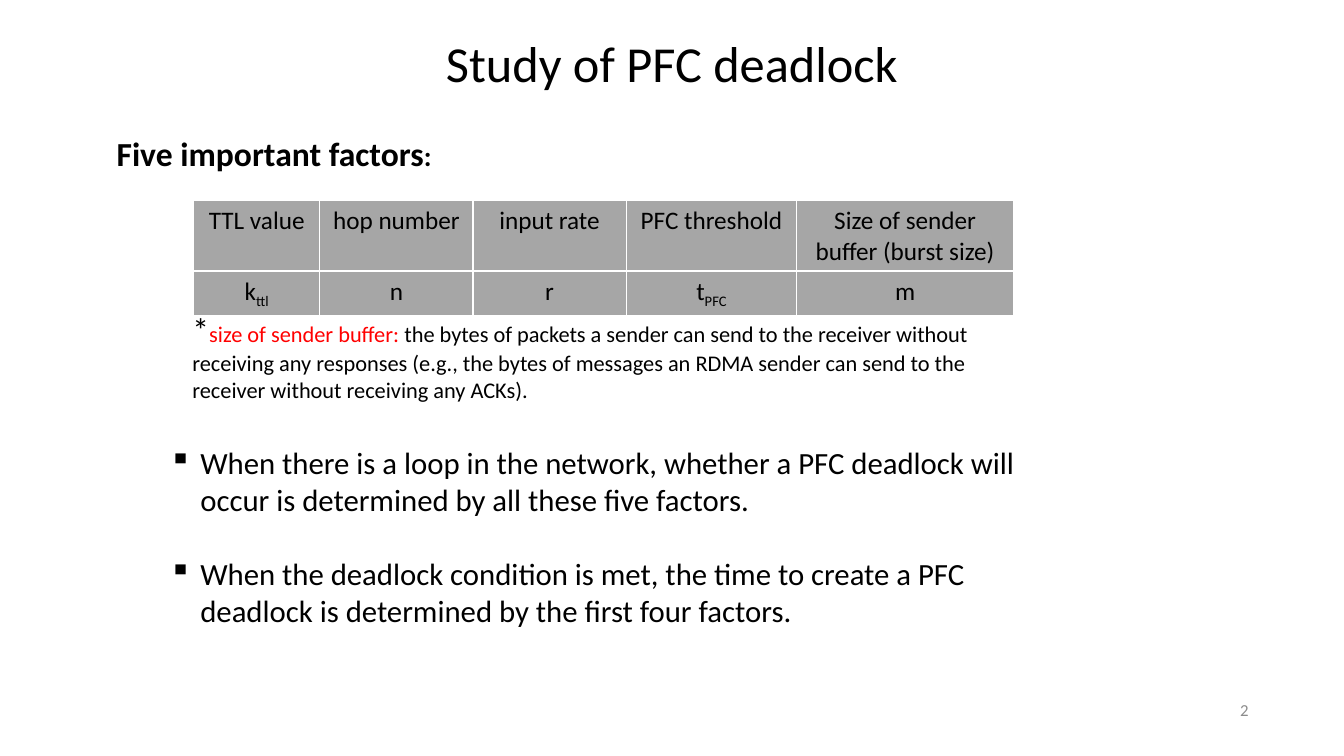
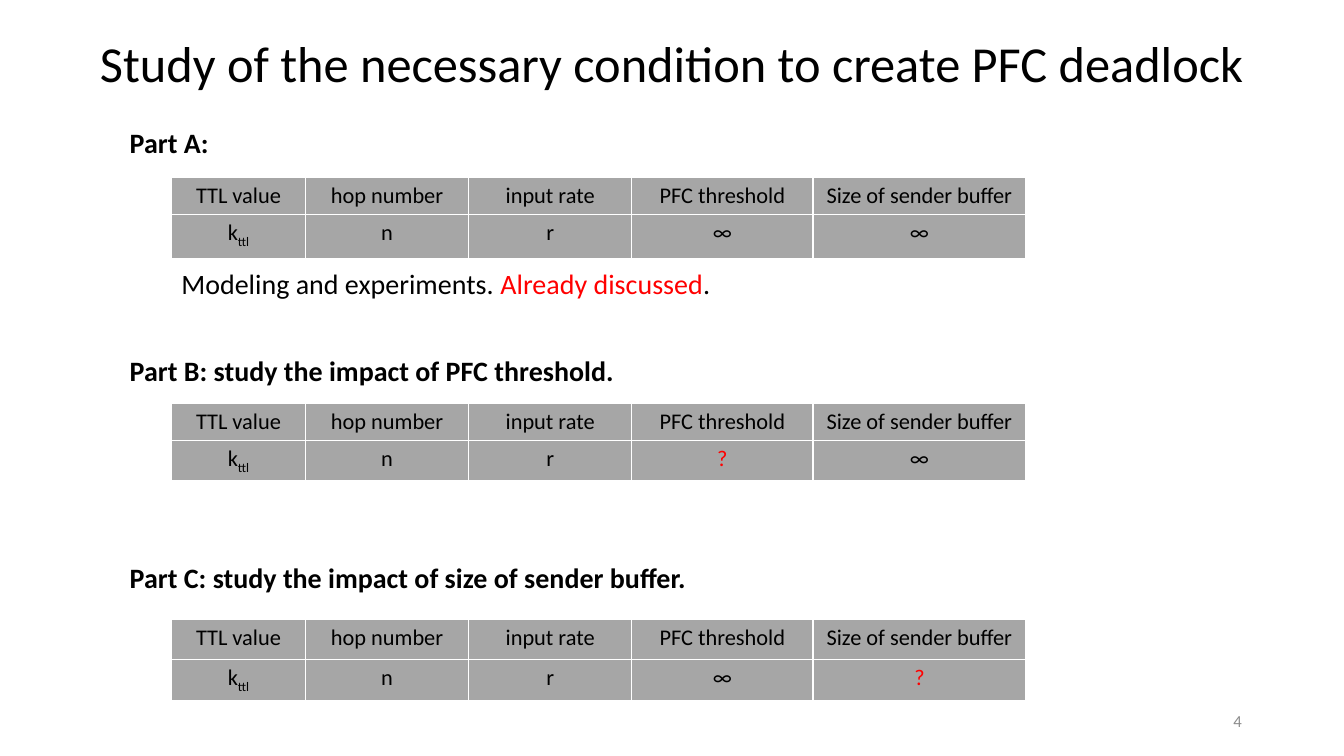
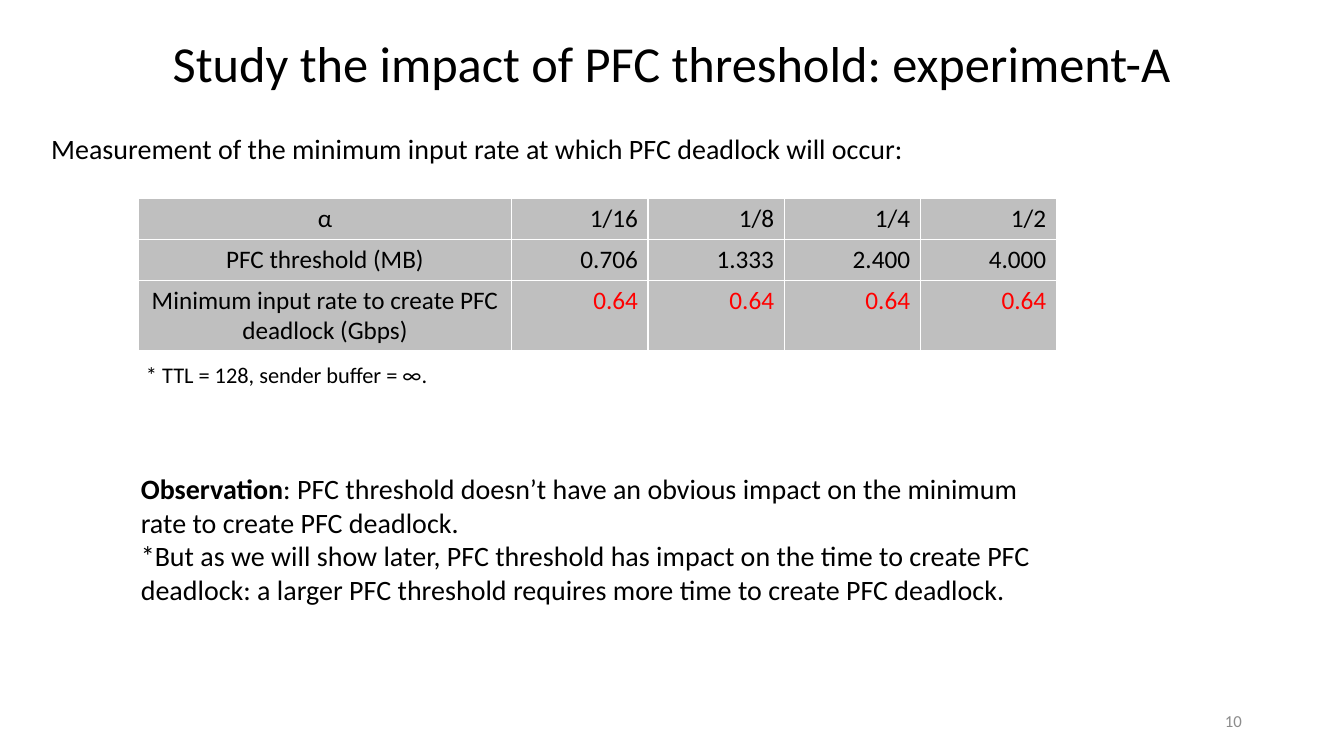
"""Build three slides on the study of PFC deadlock."""
from pptx import Presentation
from pptx.dml.color import RGBColor
from pptx.enum.text import MSO_ANCHOR as Anchor, PP_ALIGN as Align
from pptx.oxml.ns import qn
from pptx.util import Cm, Pt
from lxml.etree import SubElement

BLACK = RGBColor(0x00, 0x00, 0x00)
RED = RGBColor(0xFF, 0x00, 0x00)
GRAY = RGBColor(0x8C, 0x8C, 0x8C)
DARK_CELL = RGBColor(0xA6, 0xA6, 0xA6)
LIGHT_CELL = RGBColor(0xBF, 0xBF, 0xBF)
FONT = "Calibri"
WIDTH, HEIGHT = 33.87, 19.05

RED_TEXT = {"color": RED}
SUBSCRIPT = {"baseline": -25000}
K_TTL = ["k", ("ttl", SUBSCRIPT)]
T_PFC = ["t", ("PFC", SUBSCRIPT)]
UNKNOWN = [("?", RED_TEXT)]


class Slides:
    """Hold the shared style and the current slide."""

    def __init__(self):
        self.deck = Presentation()
        self.deck.slide_width, self.deck.slide_height = Cm(WIDTH), Cm(HEIGHT)
        self.page = None

    def start(self, title, title_width, number, number_left=23.93, number_top=17.65):
        self.page = self.deck.slides.add_slide(self.deck.slide_layouts[6])
        self.text((number_left, number_top, 7.62, 1.01), [number], size=12,
                  color=GRAY, align=Align.RIGHT, anchor=Anchor.MIDDLE)
        self.text(((WIDTH - title_width) / 2, 0.69, title_width, 1.8), [title],
                  size=36, align=Align.CENTER)

    def fill_paragraph(self, para, spans, size, color=BLACK, bold=False, align=Align.LEFT):
        para.alignment = align
        para.font.name, para.font.size = FONT, Pt(size)
        for item in spans:
            words, style = (item, {}) if isinstance(item, str) else item
            span = para.add_run()
            span.text = words
            span.font.bold = style.get("bold", bold)
            span.font.color.rgb = style.get("color", color)
            if "size" in style:
                span.font.size = Pt(style["size"])
            if "baseline" in style:
                span.font._element.set("baseline", str(style["baseline"]))

    def text(self, place, *paragraphs, anchor=Anchor.TOP, bullet=None, gap=0, **style):
        box = self.page.shapes.add_textbox(*map(Cm, place))
        frame = box.text_frame
        frame.word_wrap, frame.vertical_anchor = True, anchor
        for index, spans in enumerate(paragraphs):
            para = frame.add_paragraph() if index else frame.paragraphs[0]
            self.fill_paragraph(para, spans, **style)
            if index and gap:
                para.space_before = Pt(gap)
            if bullet:
                self.add_bullet(para, bullet)

    def add_bullet(self, para, mark, indent=Cm(0.79)):
        properties = para._p.get_or_add_pPr()
        properties.set("marL", str(indent))
        properties.set("indent", str(-indent))
        symbol = SubElement(properties, qn("a:buChar"))
        symbol.set("char", mark)
        defaults = properties.find(qn("a:defRPr"))
        defaults.addprevious(symbol)

    def table(self, left, top, columns, heights, rows, size, fill, number_align=Align.CENTER):
        frame = self.page.shapes.add_table(len(rows), len(columns), Cm(left), Cm(top),
                                           Cm(sum(columns)), Cm(sum(heights)))
        grid = frame.table
        grid.horz_banding = False
        for column, width in zip(grid.columns, columns):
            column.width = Cm(width)
        for row, height, values in zip(grid.rows, heights, rows):
            row.height = Cm(height)
            for index, (cell, value) in enumerate(zip(row.cells, values)):
                cell.fill.solid()
                cell.fill.fore_color.rgb = fill
                spans = [value] if isinstance(value, str) else value
                self.fill_paragraph(cell.text_frame.paragraphs[0], spans, size,
                                    align=number_align if index else Align.CENTER)


slides = Slides()
factors = ["TTL value", "hop number", "input rate", "PFC threshold"]

slides.start("Study of PFC deadlock", 21.06, "2", 24.1, 17.37)
slides.table(4.88, 5.05, [3.18, 3.86, 3.86, 4.3, 5.46], [1.78, 1.1],
             [factors + ["Size of sender buffer (burst size)"],
              [K_TTL, "n", "r", T_PFC, "m"]], 18, DARK_CELL)
slides.text((2.69, 3.23, 20.62, 1.27),
            ["Five important factors", (":", {"size": 20})], size=24, bold=True)
slides.text((4.6, 7.65, 20.62, 2.64),
            [("*", {"size": 24}), ("size of sender buffer:", RED_TEXT),
             " the bytes of packets a sender can send to the receiver without receiving any "
             "responses (e.g., the bytes of messages an RDMA sender can send to the receiver "
             "without receiving any ACKs)."], size=16)
slides.text((4.01, 11.05, 23.44, 5.89),
            ["When there is a loop in the network, whether a PFC deadlock will occur is "
             "determined by all these five factors."],
            ["When the deadlock condition is met, the time to create a PFC deadlock is "
             "determined by the first four factors."],
            size=22, bullet="▪", gap=26.8)

slides.start("Study of the necessary condition to create PFC deadlock", 30.81, "4")
parts = [
    ("Part A:", 3.05, 4.47, [0.93, 1.12], ["∞", "∞"]),
    ("Part B: study the impact of PFC threshold.", 8.79, 10.16, [0.92, 1], [UNKNOWN, "∞"]),
    ("Part C: study the impact of size of sender buffer.", 14, 15.6, [1.02, 1], ["∞", UNKNOWN]),
]
for heading, heading_top, table_top, heights, limits in parts:
    slides.text((3.02, heading_top, 20.9, 1.12), [heading], size=20, bold=True)
    slides.table(4.32, table_top, [3.38, 4.11, 4.11, 4.57, 5.36], heights,
                 [factors + ["Size of sender buffer"], [K_TTL, "n", "r"] + limits],
                 16, DARK_CELL)
slides.text((4.32, 6.6, 20.9, 1.12),
            ["Modeling and experiments. ", ("Already discussed", RED_TEXT), "."], size=20)

slides.start("Study the impact of PFC threshold: experiment-A", 31.34, "10")
slides.table(3.48, 5, [9.42] + [3.43] * 4, [1.04, 1.02, 1.78],
             [["α", "1/16", "1/8", "1/4", "1/2"],
              ["PFC threshold (MB)", "0.706", "1.333", "2.400", "4.000"],
              ["Minimum input rate to create PFC deadlock (Gbps)"] + [[("0.64", RED_TEXT)]] * 4],
             18, LIGHT_CELL, number_align=Align.RIGHT)
slides.text((3.3, 11.76, 23.32, 3.68),
            [("Observation", {"bold": True}),
             ": PFC threshold doesn’t have an obvious impact on the minimum rate to create "
             "PFC deadlock."],
            ["*But as we will show later, PFC threshold has impact on the time to create PFC "
             "deadlock: a larger PFC threshold requires more time to create PFC deadlock."],
            size=20)
slides.text((3.43, 8.97, 7.75, 0.94), ["* TTL = 128, sender buffer = ∞."], size=16)
slides.text((1.04, 3.2, 24.08, 1.12),
            ["Measurement of the minimum input rate at which PFC deadlock will occur:"], size=20)

slides.deck.save("out.pptx")
